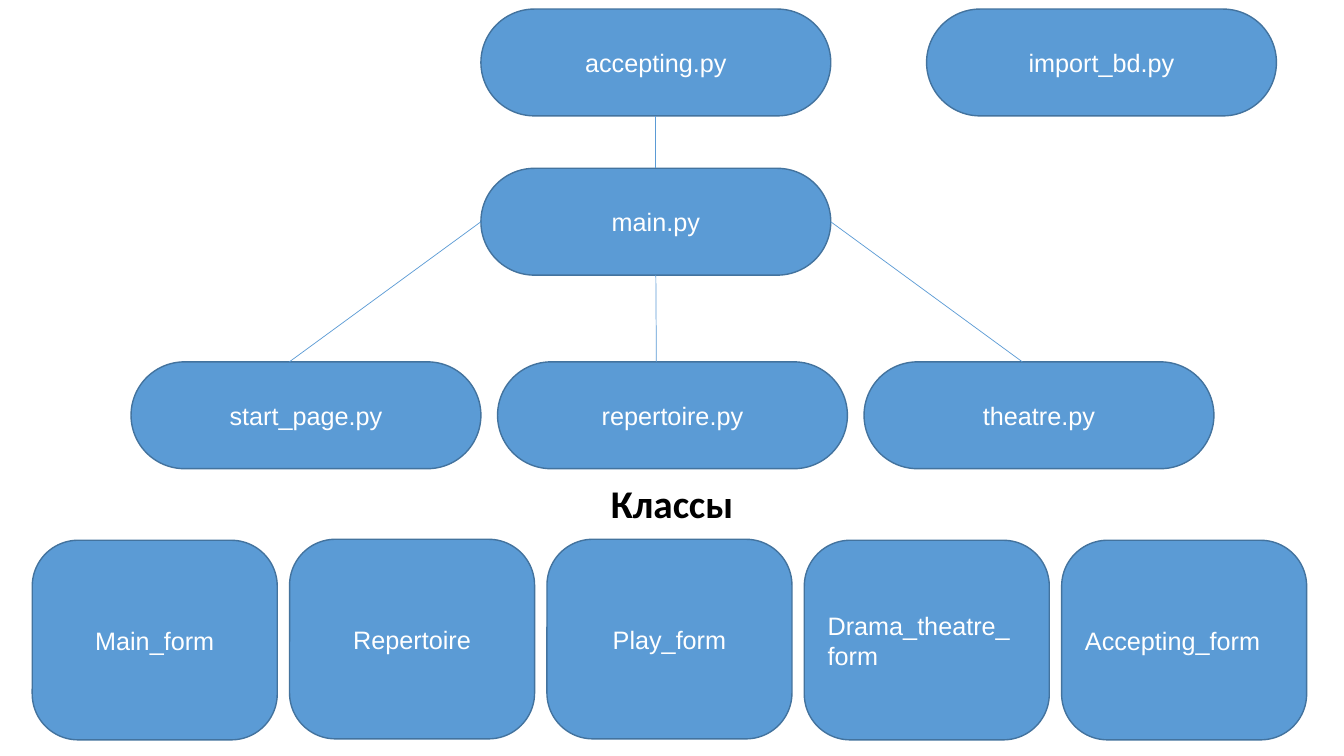
from dataclasses import dataclass

from lxml import etree
from pptx import Presentation
from pptx.dml.color import RGBColor
from pptx.enum.shapes import MSO_CONNECTOR, MSO_SHAPE
from pptx.enum.text import MSO_ANCHOR, PP_ALIGN
from pptx.oxml.ns import qn
from pptx.util import Inches, Pt

ROUNDED = MSO_SHAPE.ROUNDED_RECTANGLE
STRAIGHT = MSO_CONNECTOR.STRAIGHT
CENTER, LEFT = PP_ALIGN.CENTER, PP_ALIGN.LEFT
MIDDLE, TOP = MSO_ANCHOR.MIDDLE, MSO_ANCHOR.TOP
SIDE_TOP, SIDE_LEFT, SIDE_BOTTOM, SIDE_RIGHT = range(4)

# Content
ENTRY, MAIN, DATABASE = "accepting.py", "main.py", "import_bd.py"
PAGES = ["start_page.py", "repertoire.py", "theatre.py"]
HEADING = "Классы"
CLASSES = [  # text, alignment, top
    ("Main_form", CENTER, 5.36),
    ("Repertoire", CENTER, 5.35),
    ("Play_form", CENTER, 5.35),
    ("Drama_theatre_\nform", LEFT, 5.36),
    ("Accepting_form", LEFT, 5.36),
]
BRANCHES = [(SIDE_LEFT, 2.87), (SIDE_BOTTOM, 6.51), (SIDE_RIGHT, 10.14)]  # side of main, end x


@dataclass(frozen=True)
class Theme:
    fill: RGBColor = RGBColor(0x5B, 0x9B, 0xD5)
    outline: RGBColor = RGBColor(0x43, 0x73, 0x9E)
    light: RGBColor = RGBColor(0xFF, 0xFF, 0xFF)
    dark: RGBColor = RGBColor(0, 0, 0)
    label_font: str = "Arial"
    heading_font: str = "Calibri"
    label_size: int = 18
    heading_size: int = 28


THEME = Theme()

# Grid, in inches
SLIDE_W, SLIDE_H = 13.33, 7.5
MODULE_W, MODULE_H = 3.47, 1.06
CLASS_W, CLASS_H = 2.43, 1.98
CENTRE_X, DATABASE_X = 4.77, 9.19
ENTRY_Y, MAIN_Y, PAGES_Y = 0.09, 1.67, 3.59
PAGES_SPAN = (1.3, 8.57)
CLASSES_SPAN = (0.32, 10.53)

prs = Presentation()
prs.slide_width, prs.slide_height = Inches(SLIDE_W), Inches(SLIDE_H)
slide = prs.slides.add_slide(prs.slide_layouts[6])
shapes = slide.shapes


def spread(span, count):
    """Left edges of equally spaced columns."""
    first, last = span
    return [first + (last - first) * i / (count - 1) for i in range(count)]


def write(shape, text, font=THEME.label_font, size=THEME.label_size,
          color=THEME.light, bold=False, align=CENTER, anchor=MIDDLE):
    frame = shape.text_frame
    frame.word_wrap = True
    frame.vertical_anchor = anchor
    frame.text = text
    for paragraph in frame.paragraphs:
        paragraph.alignment = align
        style = paragraph.runs[0].font
        style.name, style.size, style.bold = font, Pt(size), bold
        style.color.rgb = color


def add_box(text, left, top, width, height, rounding, align=CENTER):
    box = shapes.add_shape(ROUNDED, Inches(left), Inches(top), Inches(width), Inches(height))
    box.adjustments[0] = rounding
    box.shadow.inherit = False
    box.fill.solid()
    box.fill.fore_color.rgb = THEME.fill
    box.line.color.rgb = THEME.outline
    box.line.width = Pt(1)
    write(box, text, align=align)
    return box


def add_module(text, left, top):
    return add_box(text, left, top, MODULE_W, MODULE_H, 0.5)


def add_link(start, side, end_x, end_y):
    link = shapes.add_connector(STRAIGHT, start.left, start.top, Inches(end_x), Inches(end_y))
    link.begin_connect(start, side)
    link.line.color.rgb = THEME.fill
    link.line.width = Pt(0.5)
    etree.SubElement(link.line._get_or_add_ln().getparent(), qn("a:effectLst"))
    return link


# Modules
entry = add_module(ENTRY, CENTRE_X, ENTRY_Y)
main_module = add_module(MAIN, CENTRE_X, MAIN_Y)
add_module(DATABASE, DATABASE_X, ENTRY_Y)
for page, left in zip(PAGES, spread(PAGES_SPAN, len(PAGES))):
    add_module(page, left, PAGES_Y)

# Links between modules
add_link(entry, SIDE_BOTTOM, CENTRE_X + MODULE_W / 2, MAIN_Y).end_connect(main_module, SIDE_TOP)
for side, end_x in BRANCHES:
    add_link(main_module, side, end_x, PAGES_Y)

# Classes
heading = shapes.add_textbox(Inches(4.72), Inches(4.71), Inches(3.89), Inches(0.57))
write(heading, HEADING, font=THEME.heading_font, size=THEME.heading_size,
      color=THEME.dark, bold=True, anchor=TOP)
for (name, align, top), left in zip(CLASSES, spread(CLASSES_SPAN, len(CLASSES))):
    add_box(name, left, top, CLASS_W, CLASS_H, 0.23, align)

prs.save("out.pptx")
